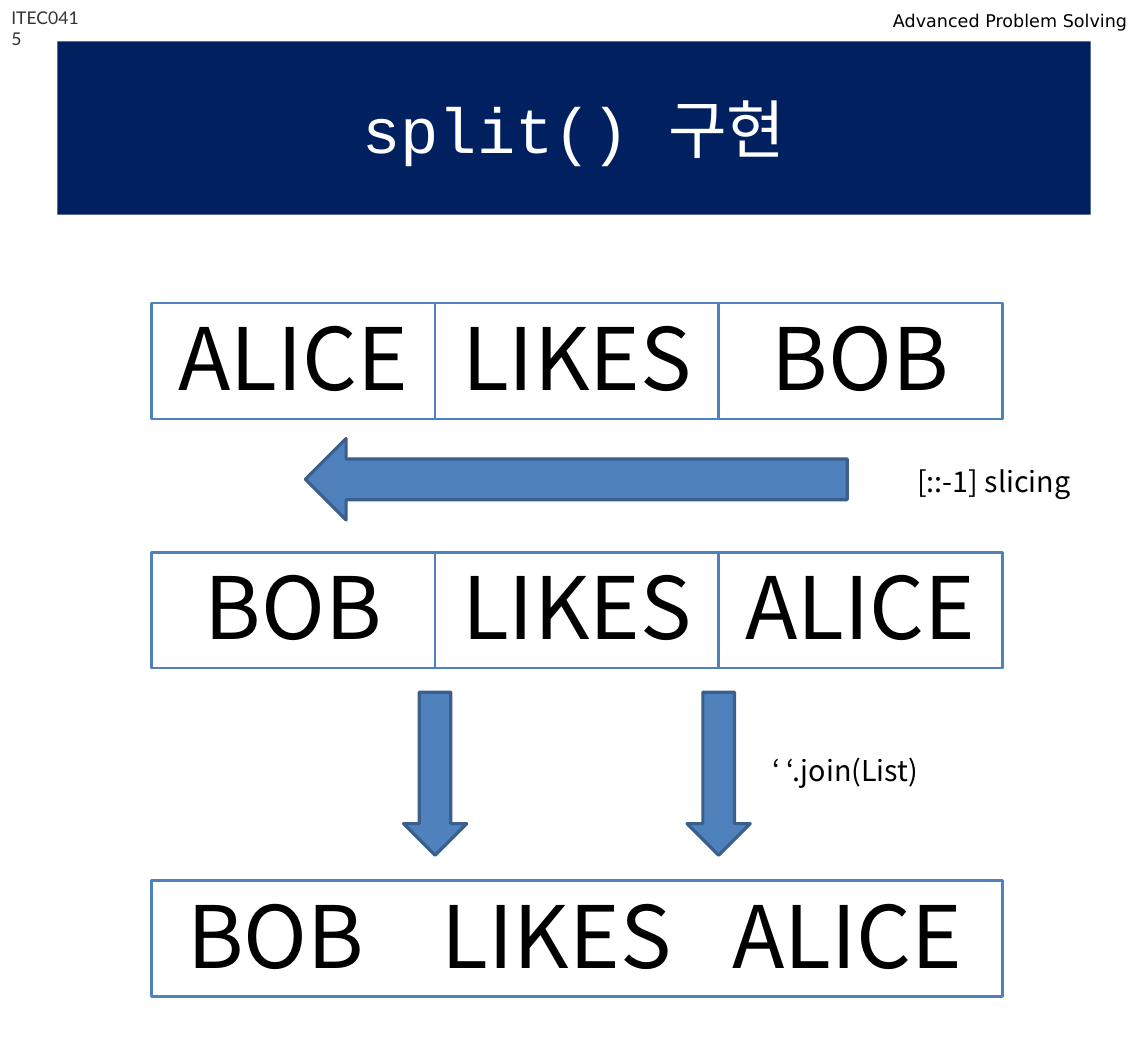
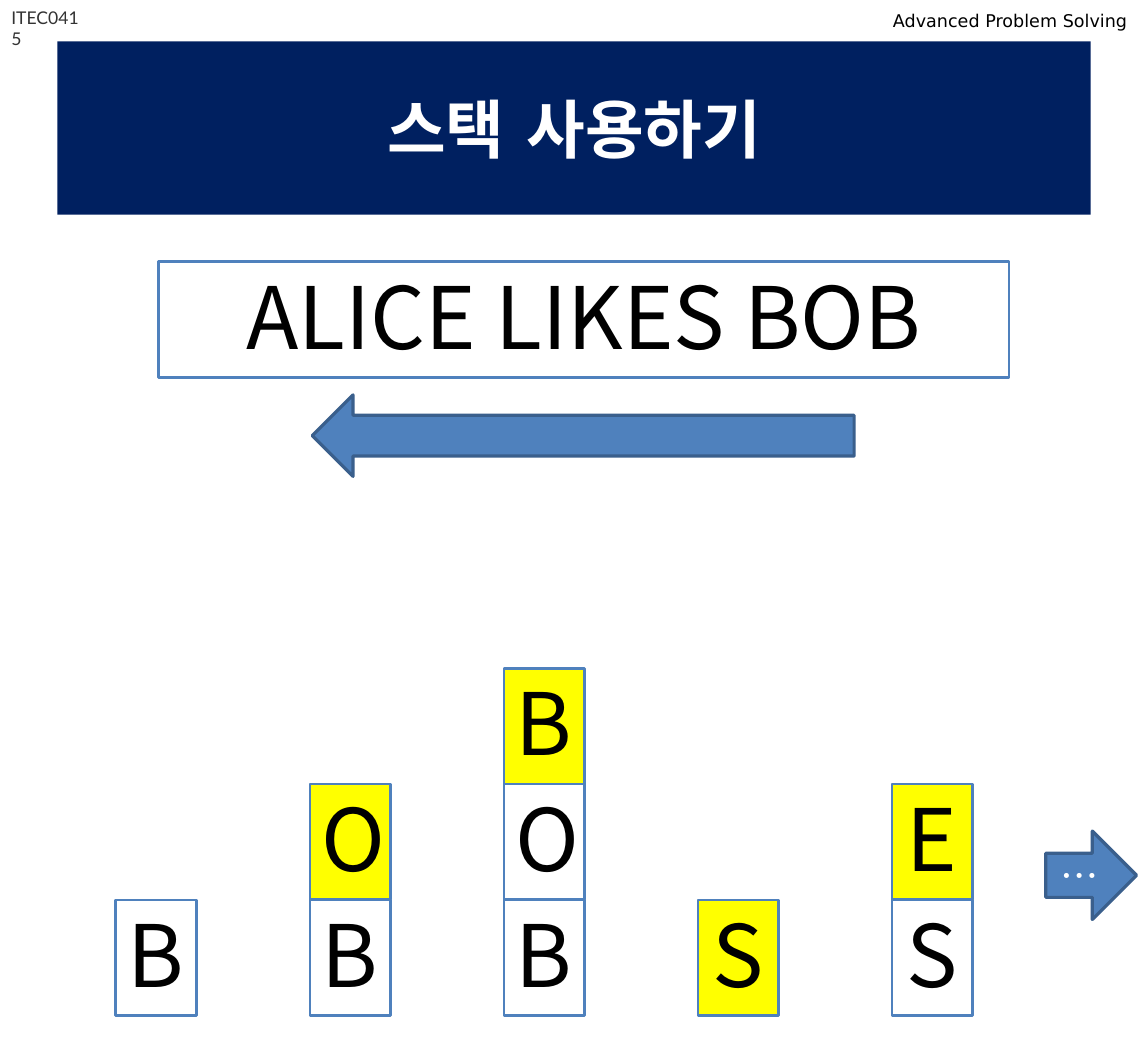
from dataclasses import dataclass

from lxml import etree
from pptx import Presentation
from pptx import util as u
from pptx.dml.color import RGBColor
from pptx.enum import shapes, text
from pptx.oxml import ns


@dataclass(frozen=True)
class Theme:
    navy: str = "002060"
    blue: str = "4F81BD"
    edge: str = "3A5F8C"
    yellow: str = "FFFF00"
    white: str = "FFFFFF"
    black: str = "000000"
    grey: str = "333333"
    body_font: str = "Noto Sans CJK KR"
    head_font: str = "DejaVu Sans"
    code_font: str = "Courier New"
    course_font: str = "Lato"
    title_size: int = 40
    word_size: int = 54
    label_size: int = 18
    more_size: int = 24
    header_size: int = 11


THEME = Theme()
COLUMNS, ROWS = 10, 9.06
CELL = u.Inches(1)
BOX_HEIGHT = 1.01
WORD_WIDTH = 2.47
ROW_WIDTH = 3 * WORD_WIDTH
LETTER_WIDTH = 0.7
ARROW_WIDTH, ARROW_HEIGHT = 4.72, 0.71
RECTANGLE = shapes.MSO_SHAPE.RECTANGLE
RIGHT_ARROW = shapes.MSO_SHAPE.RIGHT_ARROW
DOWN_ARROW = shapes.MSO_SHAPE.DOWN_ARROW


def grid(*lengths):
    """Turn columns and rows of the slide grid into lengths."""
    return [round(length * CELL) for length in lengths]


def set_values(target, values):
    for name, value in values.items():
        setattr(target, name, value)


# Text
def write(shape, runs, size, color, align=text.PP_ALIGN.CENTER, bold=None, **frame_format):
    frame = shape.text_frame
    set_values(frame, {"word_wrap": True, "vertical_anchor": text.MSO_ANCHOR.MIDDLE,
                       **frame_format})
    paragraph = frame.paragraphs[0]
    paragraph.alignment = align
    for words, font_name in runs:
        run = paragraph.add_run()
        run.text = words
        set_values(run.font, {"name": font_name, "size": u.Pt(size), "bold": bold})
        run.font.color.rgb = RGBColor.from_string(color)
        east_asian = etree.SubElement(run.font._element, ns.qn("a:ea"))
        east_asian.set("typeface", font_name)
    return paragraph


def add_label(slide, words, place, size=THEME.label_size, color=THEME.black,
              font=THEME.body_font, **frame_format):
    box = slide.shapes.add_textbox(*grid(*place))
    write(box, [(words, font)], size, color, text.PP_ALIGN.LEFT, **frame_format)


def set_tabs(paragraph, stops):
    tab_list = etree.SubElement(paragraph._p.get_or_add_pPr(), ns.qn("a:tabLst"))
    for stop in grid(*stops):
        tab = etree.SubElement(tab_list, ns.qn("a:tab"))
        tab.set("pos", str(stop))
        tab.set("algn", "l")


# Shapes
def add_figure(slide, kind, place, fill, line=None, line_width=0):
    shape = slide.shapes.add_shape(kind, *grid(*place))
    shape.shadow.inherit = False
    shape.fill.solid()
    shape.fill.fore_color.rgb = RGBColor.from_string(fill)
    if line:
        shape.line.color.rgb = RGBColor.from_string(line)
        shape.line.width = u.Pt(line_width)
    else:
        shape.line.fill.background()
    return shape


def add_box(slide, words, left, top, width, fill=THEME.white,
            align=text.PP_ALIGN.CENTER, **frame_format):
    box = add_figure(slide, RECTANGLE, (left, top, width, BOX_HEIGHT), fill, THEME.blue, 1.75)
    margins = {"margin_top": 0, "margin_bottom": u.Inches(0.08)}
    return write(box, [(words, THEME.body_font)], THEME.word_size, THEME.black, align,
                 **margins, **frame_format)


def add_arrow(slide, kind, place, rotation=0):
    arrow = add_figure(slide, kind, place, THEME.blue, THEME.edge, 2)
    arrow.rotation = rotation
    return arrow


def add_reverse_arrow(slide, left, top):
    add_arrow(slide, RIGHT_ARROW, (left, top, ARROW_WIDTH, ARROW_HEIGHT), 180)


def add_word_row(slide, words, left, top):
    for column, word in enumerate(words):
        add_box(slide, word, left + column * WORD_WIDTH, top, WORD_WIDTH)


def add_stack(slide, letters, left, floor, top_fill):
    """Pile letters from the floor up and colour the last one."""
    for level, letter in enumerate(letters, start=1):
        fill = top_fill if level == len(letters) else THEME.white
        add_box(slide, letter, left, floor - level * BOX_HEIGHT, LETTER_WIDTH, fill)


# Title band and page header
def add_titled_slide(presentation, title_runs, bold=None):
    slide = presentation.slides.add_slide(presentation.slide_layouts[6])
    band = add_figure(slide, RECTANGLE, (0.5, 0.36, COLUMNS - 1, 1.51), THEME.navy)
    write(band, title_runs, THEME.title_size, THEME.white, bold=bold)
    header = {"size": THEME.header_size, "vertical_anchor": text.MSO_ANCHOR.TOP}
    add_label(slide, "ITEC0415", (0, 0.01, 0.79, 0.29), color=THEME.grey,
              font=THEME.course_font, **header)
    add_label(slide, "Advanced Problem Solving", (7.68, 0.04, COLUMNS - 7.68, 0.29),
              font=THEME.head_font, **header)
    return slide


def build_split_slide(presentation):
    slide = add_titled_slide(presentation, [("split() ", THEME.code_font),
                                            ("구현", THEME.head_font)])
    left = 1.32
    words = ["ALICE", "LIKES", "BOB"]

    # Split words, then the reversed list
    add_word_row(slide, words, left, 2.64)
    add_reverse_arrow(slide, 2.66, 3.82)
    add_label(slide, "[::-1] slicing", (7.89, 3.99, 1.73, 0.4))
    add_word_row(slide, words[::-1], left, 4.81)

    # Joined sentence below the two word borders
    arrow_width = 0.55
    for border in (1, 2):
        center = left + border * WORD_WIDTH
        add_arrow(slide, DOWN_ARROW, (center - arrow_width / 2, 6.03, arrow_width, 1.42))
    add_label(slide, "‘ ‘.join(List)", (6.63, 6.51, 1.73, 0.4))
    sentence = add_box(slide, "\t".join(words[::-1]), left, 7.67, ROW_WIDTH,
                       align=text.PP_ALIGN.LEFT, margin_left=u.Inches(0.31))
    set_tabs(sentence, (2.22, 4.75))


def build_stack_slide(presentation):
    slide = add_titled_slide(presentation, [("스택 사용하기", THEME.head_font)], bold=True)

    # Sentence read from its end
    add_box(slide, "ALICE LIKES BOB", 1.38, 2.28, ROW_WIDTH)
    add_reverse_arrow(slide, 2.72, 3.44)

    # Stack after each step, letters from bottom to top
    stacks = [("B", THEME.white), ("BO", THEME.yellow), ("BOB", THEME.yellow),
              ("S", THEME.yellow), ("SE", THEME.yellow)]
    for step, (letters, top_fill) in enumerate(stacks):
        add_stack(slide, letters, 1.01 + step * 1.69, 8.85, top_fill)
    more = add_arrow(slide, RIGHT_ARROW, (9.11, 7.24, 0.79, 0.77))
    write(more, [("…", THEME.body_font)], THEME.more_size, THEME.white)


def main():
    presentation = Presentation()
    set_values(presentation, {"slide_width": round(COLUMNS * CELL),
                              "slide_height": round(ROWS * CELL)})
    build_split_slide(presentation)
    build_stack_slide(presentation)
    presentation.save("out.pptx")


if __name__ == "__main__":
    main()
